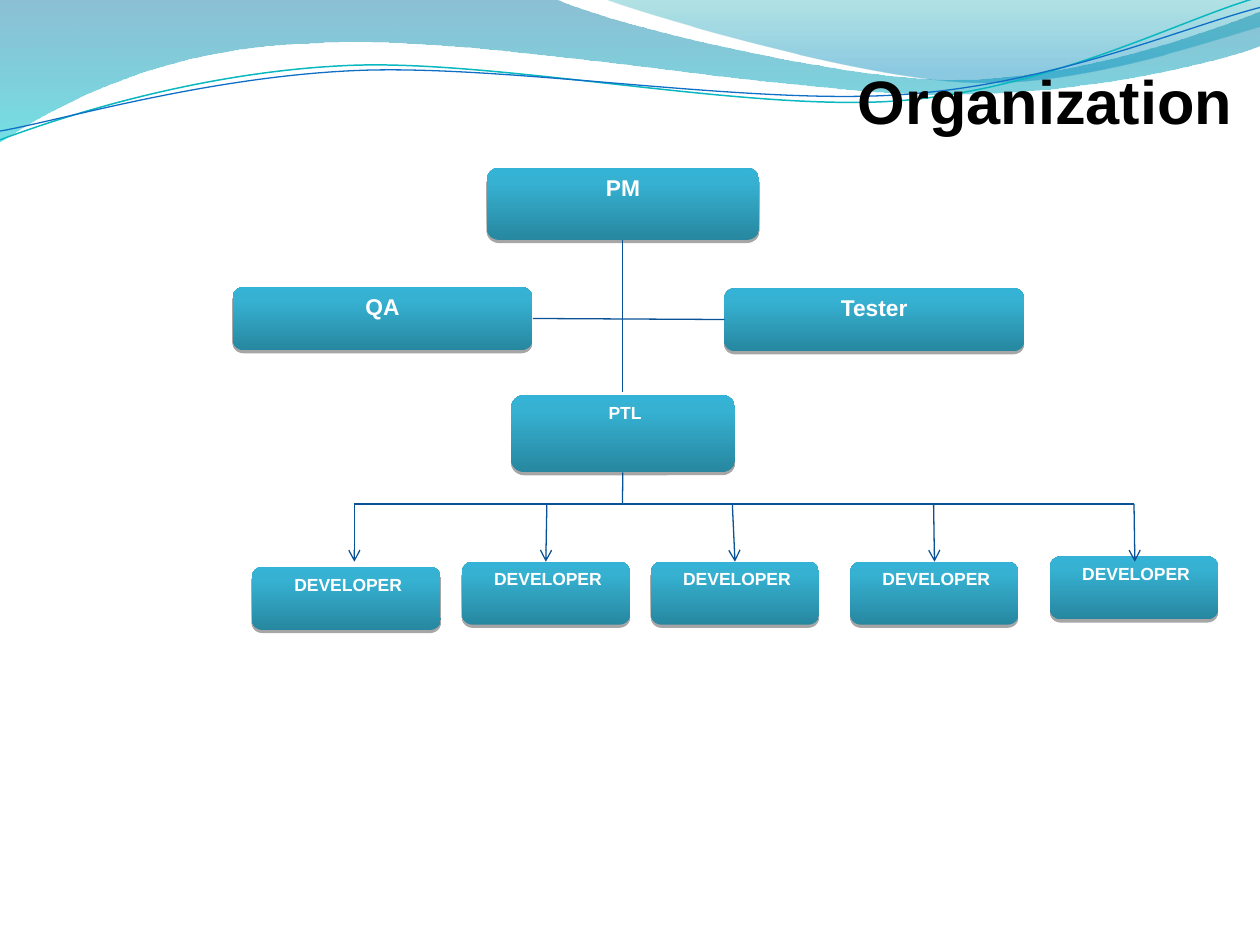
from math import cos, radians, sin

from lxml.etree import SubElement
from pptx import Presentation
from pptx.dml.color import RGBColor
from pptx.enum.shapes import MSO_CONNECTOR, MSO_SHAPE
from pptx.enum.text import MSO_ANCHOR, PP_ALIGN
from pptx.oxml.ns import qn
from pptx.util import Pt

BOX_STOPS = [(0, "2787A0", 100), (80, "36B1D2", 100), (100, "34B3D6", 100)]
LINE_COLOR = "095295"
STRAND_TILT = 2.7

LEFT_WAVE = [
    (0, 0), (317, -0.7),
    (342.7, 12.2, 478.1, 45.4, 545.8, 45.4),
    (614.2, 45.4, 689.8, 18.7, 720, 6.5),
    (720.7, 25.9),
    (707.8, 31.7, 626.4, 54.7, 537.1, 54),
    (447.8, 54, 275, 20.2, 185, 24.5),
    (92.9, 25.9, 33.1, 59.8, -0.7, 81.4),
    (0, 0),
]
RIGHT_WAVE = [
    (344.9, -0.7),
    (366.5, 7.9, 491, 44.6, 553.7, 46.8),
    (616.3, 49.7, 691.9, 23, 720, 15.1),
    (720, 0), (344.9, -0.7),
]
TEAL_STRAND = [
    (0, 79.9),
    (34.6, 67, 113.8, 41, 199.4, 37.4),
    (284.4, 33.8, 427, 64.1, 513.4, 57.6),
    (599.8, 51.1, 675.4, 10.8, 718.6, -1.4),
]
BLUE_STRAND = [
    (0, 74.9),
    (33.8, 69.1, 118.1, 43.9, 203.8, 40.3),
    (290.2, 36.7, 429.8, 60.5, 516.2, 54),
    (601.9, 48.2, 677.5, 15.1, 720, 4.3),
]


def color(value):
    return RGBColor.from_string(value)


def set_text(shape, text, size, text_color="FFFFFF", align=PP_ALIGN.CENTER,
             anchor=MSO_ANCHOR.TOP, insets=(0, 0, 0, 0)):
    frame = shape.text_frame
    frame.word_wrap = True
    frame.vertical_anchor = anchor
    frame.margin_left, frame.margin_top, frame.margin_right, frame.margin_bottom = map(Pt, insets)
    paragraph = frame.paragraphs[0]
    paragraph.alignment = align
    run = paragraph.add_run()
    run.text = text
    run.font.name = "Arial"
    run.font.size = Pt(size)
    run.font.bold = True
    run.font.color.rgb = color(text_color)


def add_color_element(parent, value, opacity):
    element = SubElement(parent, qn("a:srgbClr"), val=value)
    if opacity < 100:
        SubElement(element, qn("a:alpha"), val=str(opacity * 1000))


def fill_gradient(shape, stops, angle):
    shape.fill.gradient()
    shape.fill.gradient_angle = angle
    stop_list = shape.element.spPr.find(qn("a:gradFill")).find(qn("a:gsLst"))
    for stop in list(stop_list):
        stop_list.remove(stop)
    for position, value, opacity in stops:
        stop = SubElement(stop_list, qn("a:gs"), pos=str(position * 1000))
        add_color_element(stop, value, opacity)


def tilt(segments, angle, center_x, center_y):
    cosine, sine = cos(radians(angle)), sin(radians(angle))
    tilted = []
    for segment in segments:
        values = []
        for x, y in zip(segment[::2], segment[1::2]):
            x, y = x - center_x, y - center_y
            values += [center_x + x * cosine - y * sine, center_y + x * sine + y * cosine]
        tilted.append(tuple(values))
    return tilted


def add_outline(shapes, segments, close):
    points = [(Pt(x), Pt(y)) for segment in segments
              for x, y in zip(segment[::2], segment[1::2])]
    builder = shapes.build_freeform(*points[0])
    builder.add_line_segments(points[1:], close=close)
    shape = builder.convert_to_shape()
    shape.shadow.inherit = False
    outline = next(shape.element.iter(qn("a:path")))
    edges = iter(outline.findall(qn("a:lnTo")))
    for segment in segments[1:]:
        edge = next(edges)
        if len(segment) == 6:
            curve = SubElement(outline, qn("a:cubicBezTo"))
            edge.addprevious(curve)
            for part in (edge, next(edges), next(edges)):
                curve.append(part[0])
                outline.remove(part)
    return shape


def add_wave(shapes, segments, stops):
    shape = add_outline(shapes, segments, True)
    fill_gradient(shape, stops, 270)
    shape.line.fill.background()


def add_strand(shapes, segments, line_color, width, center_y):
    shape = add_outline(shapes, tilt(segments, STRAND_TILT, 359.5, center_y), False)
    shape.rotation = -STRAND_TILT
    shape.fill.background()
    shape.line.color.rgb = color(line_color)
    shape.line.width = Pt(width)


def move_to_master(shapes, master):
    for shape in shapes:
        master.shapes.element.append(shape.element)
    for number, properties in enumerate(master.shapes.element.iter(qn("p:cNvPr")), 1):
        properties.set("id", str(number))


def add_background(slide, master):
    add_wave(slide.shapes, LEFT_WAVE, [(0, "0074A1", 45), (100, "00C6CF", 55)])
    add_wave(slide.shapes, RIGHT_WAVE, [(0, "00A1A9", 30), (80, "008BBF", 45)])
    group = slide.shapes.add_group_shape()
    add_strand(group.shapes, TEAL_STRAND, "0AB8BF", 0.85, 41.4)
    add_strand(group.shapes, BLUE_STRAND, "0F6FC6", 0.75, 42.5)
    move_to_master([shape for shape in slide.shapes if not shape.is_placeholder], master)


def add_title(slide, text):
    title = slide.shapes.title
    title.left, title.top, title.width, title.height = Pt(30.4), Pt(29.9), Pt(674), Pt(48.2)
    set_text(title, text, 35, text_color="000000", align=PP_ALIGN.RIGHT,
             anchor=MSO_ANCHOR.BOTTOM, insets=(0, 3.6, 0, 0))


def add_box(slide, text, left, top, width, height, size=10, insets=(2.2, 2, 0, 0)):
    shape = slide.shapes.add_shape(MSO_SHAPE.ROUNDED_RECTANGLE,
                                   Pt(left), Pt(top), Pt(width), Pt(height))
    shape.adjustments[0] = 0.167
    fill_gradient(shape, BOX_STOPS, 90)
    shape.line.fill.background()
    shape.shadow.inherit = False
    effects = shape.element.spPr.find(qn("a:effectLst"))
    shadow = SubElement(effects, qn("a:outerShdw"), blurRad="0", dist=str(Pt(1.8)),
                        dir="5400000", rotWithShape="0")
    add_color_element(shadow, "000000", 35)
    set_text(shape, text, size, insets=insets)


def add_line(slide, start_x, start_y, end_x, end_y, arrow=False):
    connector = slide.shapes.add_connector(MSO_CONNECTOR.STRAIGHT, Pt(start_x), Pt(start_y),
                                           Pt(end_x), Pt(end_y))
    connector.line.color.rgb = color(LINE_COLOR)
    connector.line.width = Pt(0.75)
    properties = connector.element.spPr
    if arrow:
        SubElement(properties.find(qn("a:ln")), qn("a:tailEnd"), type="arrow")
    SubElement(properties, qn("a:effectLst"))


def add_leads(slide):
    for text, left, top, width, height in [
        ("PM", 278.2, 95.9, 155.6, 41.2),
        ("QA", 133, 164.1, 171.2, 36),
        ("Tester", 413.8, 164.7, 171.4, 36),
    ]:
        add_box(slide, text, left, top, width, height, size=13, insets=(2.2, 1.4, 2.2, 0))
    add_box(slide, "PTL", 292.1, 225.8, 128, 44)
    add_line(slide, 355.9, 137.3, 355.9, 223.9)
    add_line(slide, 304.5, 182, 414, 182.6)


def add_developers(slide):
    for left, top, width in [(143.9, 324, 108), (264, 321, 96), (372, 321, 96),
                             (485.9, 321, 96), (600, 318, 96)]:
        add_box(slide, "DEVELOPER", left, top, width, 36)
    add_line(slide, 355.9, 270, 355.7, 288)
    add_line(slide, 202.5, 288, 648, 288)
    for start, end in [(202.5, 202.5), (312.5, 311.9), (418.5, 420),
                       (533.5, 534), (648, 648.5)]:
        add_line(slide, start, 288, end, 321, arrow=True)


def main():
    presentation = Presentation()
    presentation.slide_width, presentation.slide_height = Pt(720), Pt(540)
    slide = presentation.slides.add_slide(presentation.slide_layouts[5])
    add_background(slide, presentation.slide_master)
    add_title(slide, "Organization")
    add_leads(slide)
    add_developers(slide)
    presentation.save("out.pptx")


if __name__ == "__main__":
    main()
